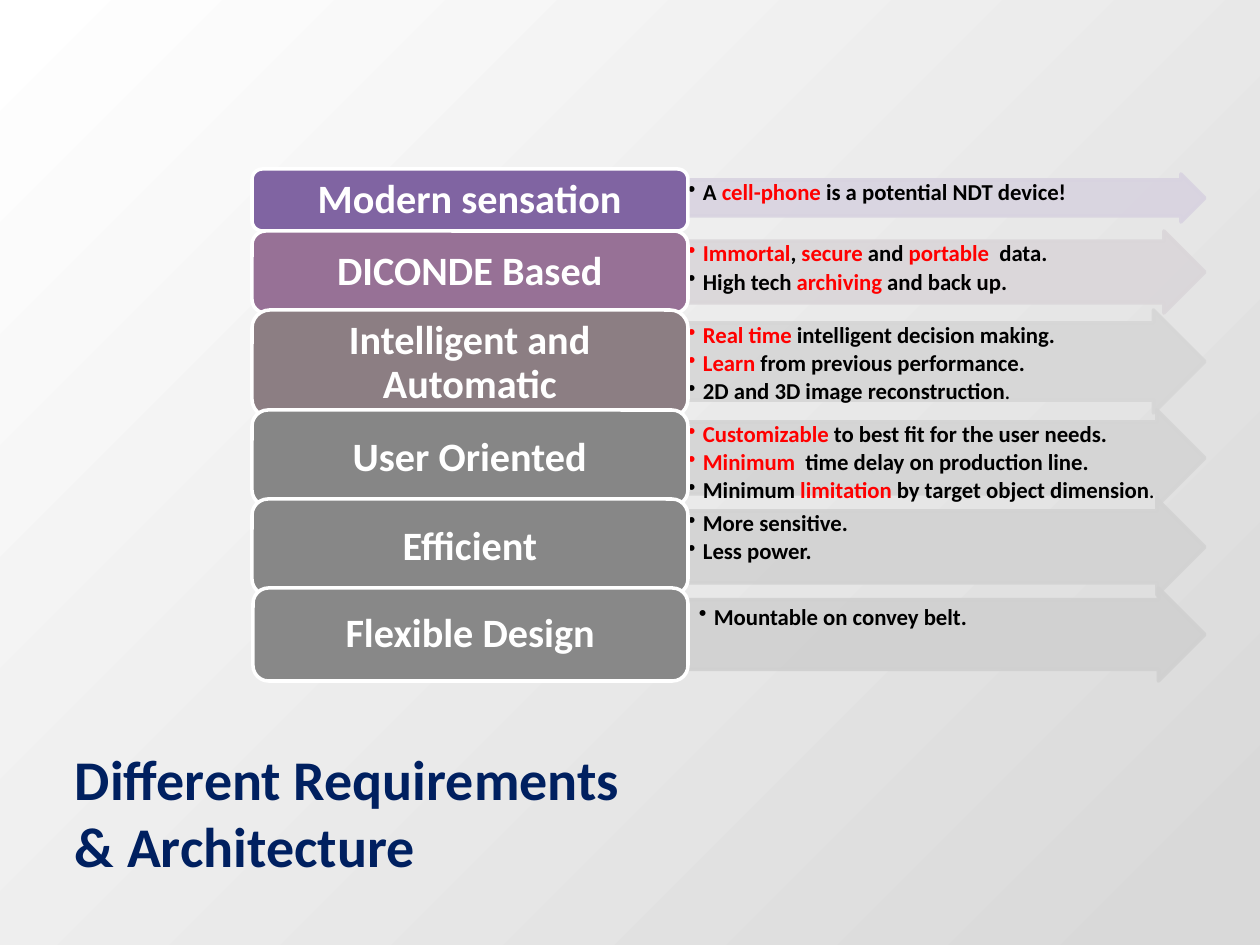
import pptx
import pptx.dml.color
import pptx.enum.shapes
import pptx.enum.text
import pptx.util
from lxml import etree
from pptx.oxml.ns import qn

PX = 914400 / 126
THEME = {
    "font": "Calibri", "title_size": 32, "label_size": 23, "bullet_size": 13,
    "title": "002060", "white": "FFFFFF", "text": "000000", "accent": "FF0000",
    "background_end": "D9D9D9",
}
STRONG, ACCENT, PLAIN = ("text", True), ("accent", True), ("text", False)

TITLE = "Different Requirements & Architecture"
# label, label colour, label box, arrow colour, arrow top and height, text inset, bullets
REQUIREMENTS = [
    ("Modern sensation", "8064A2", (252, 169, 436, 62), "D8D3E0", (174, 48), 1, [
        [("A ", STRONG), ("cell-phone", ACCENT), (" is a potential NDT device!", STRONG)],
    ]),
    ("DICONDE Based", "977196", (252, 231, 436, 82), "DAD6D9", (231, 82), 1, [
        [("Immortal", ACCENT), (", ", STRONG), ("secure ", ACCENT), ("and ", STRONG),
         ("portable", ACCENT), ("  data.", STRONG)],
        [("High tech ", STRONG), ("archiving ", ACCENT), ("and back up.", STRONG)],
    ]),
    ("Intelligent and Automatic", "8C7E83", (252, 310, 436, 107), "D6D6D6", (310, 103), 1, [
        [("Real time ", ACCENT), ("intelligent decision making.", STRONG)],
        [("Learn ", ACCENT), ("from previous performance.", STRONG)],
        [("2D and 3D image reconstruction", STRONG), (".", PLAIN)],
    ]),
    ("User Oriented", "868686", (252, 410, 436, 96), "D4D4D4", (410, 96), 1, [
        [("Customizable ", ACCENT), ("to best fit for the user needs.", STRONG)],
        [("Minimum", ACCENT), ("  time delay on production line.", STRONG)],
        [("Minimum ", STRONG), ("limitation ", ACCENT),
         ("by target object dimension", STRONG), (".", PLAIN)],
    ]),
    ("Efficient", "878787", (252, 499, 436, 96), "D2D2D2", (499, 96), 1, [
        [("More sensitive.", STRONG)],
        [("Less power.", STRONG)],
    ]),
    ("Flexible Design", "888888", (253, 588, 435, 93), "D0D0D0", (588, 93), 12, [
        [("Mountable on convey belt.", STRONG)],
    ]),
]
ARROW_LEFT, ARROW_WIDTH = 687, 518


def px(length):
    return pptx.util.Emu(round(length * PX))


def rgb(value):
    return pptx.dml.color.RGBColor.from_string(value)


def style_font(font, size, color, bold=True):
    font.name = THEME["font"]
    font.size = pptx.util.Pt(size)
    font.bold = bold
    font.color.rgb = rgb(color)


def set_insets(frame, horizontal, vertical):
    frame.word_wrap = True
    frame.margin_left = frame.margin_right = px(horizontal)
    frame.margin_top = frame.margin_bottom = px(vertical)


def add_block(slide, kind, box, fill, line):
    shape = slide.shapes.add_shape(kind, *map(px, box))
    shape.shadow.inherit = False
    shape.fill.solid()
    shape.fill.fore_color.rgb = rgb(fill)
    shape.line.color.rgb = rgb(line)
    shape.line.width = pptx.util.Pt(2)
    return shape


def add_bullet(paragraph):
    properties = paragraph._p.get_or_add_pPr()
    properties.set("marL", str(px(15)))
    properties.set("indent", str(px(-15)))
    etree.SubElement(properties, qn("a:buChar")).set("char", "•")


def add_arrow(slide, box, color, inset, bullets):
    arrow = add_block(slide, pptx.enum.shapes.MSO_SHAPE.RIGHT_ARROW, box, color, color)
    arrow.adjustments[0] = 0.75
    for fill_color in arrow._element.spPr.iter(qn("a:srgbClr")):
        etree.SubElement(fill_color, qn("a:alpha")).set("val", "90000")
    frame = arrow.text_frame
    set_insets(frame, inset, min(inset, 6))
    frame.vertical_anchor = pptx.enum.text.MSO_ANCHOR.TOP
    for index, runs in enumerate(bullets):
        paragraph = frame.add_paragraph() if index else frame.paragraphs[0]
        add_bullet(paragraph)
        paragraph.alignment = pptx.enum.text.PP_ALIGN.LEFT
        paragraph.line_spacing = 0.9
        paragraph.space_after = pptx.util.Pt(2)
        for text, (color_name, bold) in runs:
            run = paragraph.add_run()
            run.text = text
            style_font(run.font, THEME["bullet_size"], THEME[color_name], bold)


def add_label(slide, box, color, text):
    label = add_block(slide, pptx.enum.shapes.MSO_SHAPE.ROUNDED_RECTANGLE,
                      box, color, THEME["white"])
    frame = label.text_frame
    frame.text = text
    set_insets(frame, 12, 6)
    frame.vertical_anchor = pptx.enum.text.MSO_ANCHOR.MIDDLE
    paragraph = frame.paragraphs[0]
    paragraph.alignment = pptx.enum.text.PP_ALIGN.CENTER
    paragraph.line_spacing = 0.9
    style_font(paragraph.runs[0].font, THEME["label_size"], THEME["white"])


def add_title(slide):
    frame = slide.shapes.add_textbox(px(63), px(738), px(605), px(170)).text_frame
    frame.text = TITLE
    set_insets(frame, 12, 6)
    style_font(frame.paragraphs[0].runs[0].font, THEME["title_size"], THEME["title"])


def set_background(slide):
    fill = slide.background.fill
    fill.gradient()
    fill.gradient_angle = 315
    stops = [(0, THEME["white"]), (0.96, THEME["background_end"])]
    for stop, (position, color) in zip(fill.gradient_stops, stops):
        stop.position = position
        stop.color.rgb = rgb(color)


def main():
    presentation = pptx.Presentation()
    presentation.slide_width, presentation.slide_height = px(1260), px(945)
    slide = presentation.slides.add_slide(presentation.slide_layouts[6])
    set_background(slide)
    add_title(slide)
    for label, color, box, arrow_color, (top, height), inset, bullets in REQUIREMENTS:
        add_arrow(slide, (ARROW_LEFT, top, ARROW_WIDTH, height), arrow_color, inset, bullets)
        add_label(slide, box, color, label)
    presentation.save("out.pptx")


if __name__ == "__main__":
    main()
